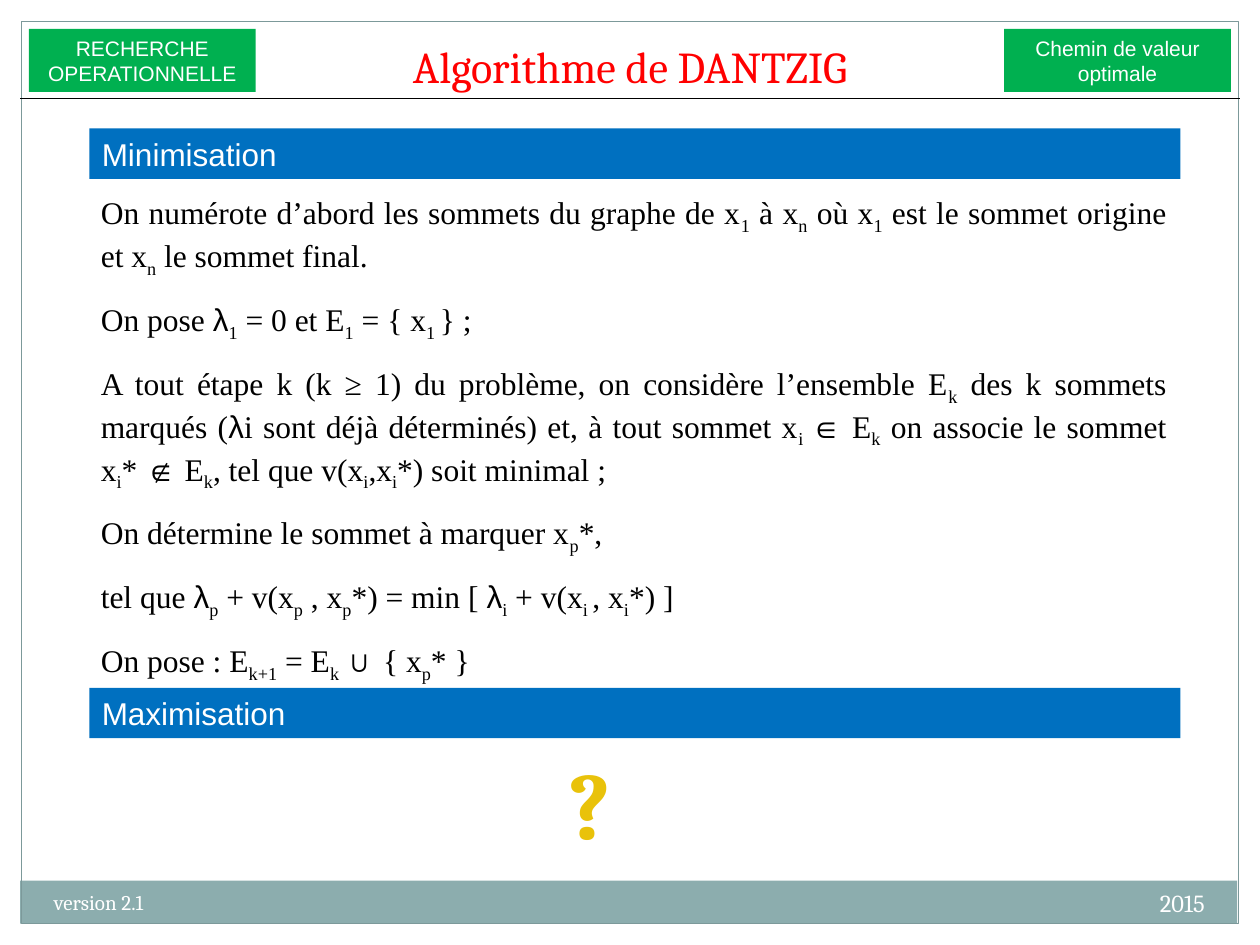
from dataclasses import dataclass
from itertools import groupby
from typing import Optional

from lxml import etree
from pptx import Presentation
from pptx import util as u
from pptx.dml.color import RGBColor
from pptx.enum import shapes, text
from pptx.oxml import ns, parse_xml

SERIF, SANS, BODY = "Cambria", "Arial", "Times New Roman"
WHITE, BLACK, GREEN, BLUE = "FFFFFF", "000000", "00B050", "0070C0"
LEFT, CENTER, RIGHT = text.PP_ALIGN.LEFT, text.PP_ALIGN.CENTER, text.PP_ALIGN.RIGHT


@dataclass
class Box:
    left: float
    top: float
    width: float
    height: float
    fill: Optional[str] = None
    line: Optional[str] = None
    lines: tuple = ()
    size: float = 12
    font: str = SANS
    align: text.PP_ALIGN = CENTER


FRAME = [
    Box(0, 0, 10, 0.17, WHITE),
    Box(9.83, 0, 0.17, 7.5, WHITE),
    Box(0, 0, 0.17, 7.5, WHITE),
    Box(0.16, 6.99, 9.66, 0.34, "8CADAE"),
    Box(0.17, 0.17, 9.66, 7.16, line="7C999A"),
]
LABELS = [
    Box(7.97, 0.23, 1.8, 0.5, GREEN, lines=("Chemin de valeur", "optimale")),
    Box(0.23, 0.23, 1.8, 0.5, GREEN, lines=("RECHERCHE", "OPERATIONNELLE")),
    Box(0.71, 1.02, 8.66, 0.4, BLUE, lines=("Minimisation",), size=18, align=LEFT),
    Box(0.71, 5.46, 8.66, 0.4, BLUE, lines=("Maximisation",), size=18, align=LEFT),
]
FOOTERS = [
    Box(6.33, 7, 3.33, 0.4, lines=("2015",), size=14, font=SERIF, align=RIGHT),
    Box(0.33, 7.01, 3.92, 0.4, lines=("version 2.1",), font=SERIF, align=LEFT),
]
# Subscripts stand between bars
STEPS = [
    "On numérote d’abord les sommets du graphe de x|1| à x|n| où x|1| est le sommet "
    "origine et x|n| le sommet final.",
    "On pose λ|1| = 0 et E|1| = { x|1 |} ;",
    "A tout étape k (k ≥ 1) du problème, on considère l’ensemble E|k| des k sommets "
    "marqués (λi sont déjà déterminés) et, à tout sommet x|i |∈ E|k| on associe le "
    "sommet x|i|* ∉ E|k|, tel que v(x|i|,x|i|*) soit minimal ;",
    "On détermine le sommet à marquer x|p|*, ",
    "tel que λ|p| + v(x|p| , x|p|*) = min [ λ|i| + v(x|i |, x|i|*) ]",
    "On pose : E|k+1| = E|k |∪ { x|p|* }",
]


def color(value: str) -> RGBColor:
    return RGBColor.from_string(value)


def place(shape, left: float, top: float, width: float, height: float) -> None:
    shape.left, shape.top = u.Inches(left), u.Inches(top)
    shape.width, shape.height = u.Inches(width), u.Inches(height)


def add_run(paragraph, content: str, size: float, font: str, hue: str):
    run = paragraph.add_run()
    run.text = content
    run.font.size = u.Pt(size)
    run.font.name = font
    run.font.color.rgb = color(hue)
    return run


def write_lines(frame, box: Box) -> None:
    frame.word_wrap = True
    for index, content in enumerate(box.lines):
        paragraph = frame.add_paragraph() if index else frame.paragraphs[0]
        paragraph.alignment = box.align
        add_run(paragraph, content, box.size, box.font, WHITE)


def draw_rectangle(slide, box: Box) -> None:
    shape = slide.shapes.add_shape(
        shapes.MSO_SHAPE.RECTANGLE,
        *map(u.Inches, (box.left, box.top, box.width, box.height)))
    shape.shadow.inherit = False
    if box.fill:
        shape.fill.solid()
        shape.fill.fore_color.rgb = color(box.fill)
    else:
        shape.fill.background()
    if box.line:
        shape.line.color.rgb = color(box.line)
        shape.line.width = u.Pt(0.75)
    else:
        shape.line.fill.background()
    write_lines(shape.text_frame, box)


def draw_text(slide, box: Box) -> None:
    shape = slide.shapes.add_textbox(
        *map(u.Inches, (box.left, box.top, box.width, box.height)))
    write_lines(shape.text_frame, box)


def write_step(paragraph, content: str) -> None:
    properties = paragraph._p.get_or_add_pPr()
    properties.set("marL", "0")
    properties.set("indent", "0")
    etree.SubElement(properties, ns.qn("a:buNone"))
    paragraph.alignment = text.PP_ALIGN.JUSTIFY
    paragraph.space_before = u.Pt(0)
    paragraph.space_after = u.Pt(12)
    for index, part in enumerate(content.split("|")):
        for is_lambda, letters in groupby(part, lambda letter: letter == "λ"):
            font = SANS if is_lambda else BODY
            run = add_run(paragraph, "".join(letters), 18, font, BLACK)
            if index % 2:
                run._r.get_or_add_rPr().set("baseline", "-25000")


def draw_question_mark(slide) -> None:
    shape = slide.shapes.add_textbox(*map(u.Inches, (4.37, 5.86, 0.62, 1.01)))
    shape.text_frame.word_wrap = False
    paragraph = shape.text_frame.paragraphs[0]
    paragraph.alignment = CENTER
    run = add_run(paragraph, "?", 54, SERIF, "E9C20A")
    run.font.bold = True
    # Vertical gold gradient in place of the solid colour
    stops = "".join(
        f'<a:gs pos="{position * 1000}"><a:srgbClr val="{hue}"/></a:gs>'
        for position, hue in ((0, "FFE275"), (75, "E9C20A"), (100, "978500")))
    gradient = parse_xml(
        f'<a:gradFill {ns.nsdecls("a")}><a:gsLst>{stops}</a:gsLst>'
        '<a:lin ang="5400000"/></a:gradFill>')
    properties = run._r.get_or_add_rPr()
    properties.replace(properties.find(ns.qn("a:solidFill")), gradient)


def draw_header_line(slide) -> None:
    line = slide.shapes.add_connector(
        shapes.MSO_CONNECTOR.STRAIGHT, *map(u.Inches, (0.16, 0.78, 9.84, 0.78)))
    line.line.color.rgb = color(BLACK)
    line.line.width = u.Pt(0.75)
    etree.SubElement(line._element.spPr, ns.qn("a:effectLst"))


def main() -> None:
    presentation = Presentation()
    presentation.slide_width, presentation.slide_height = u.Inches(10), u.Inches(7.5)
    slide = presentation.slides.add_slide(presentation.slide_layouts[1])
    slide.background.fill.solid()
    slide.background.fill.fore_color.rgb = color(WHITE)

    # Frame and footer
    for box in FRAME:
        draw_rectangle(slide, box)
    for box in FOOTERS:
        draw_text(slide, box)

    # Title
    title = slide.shapes.title
    place(title, 2.03, 0.25, 5.94, 0.53)
    title.text_frame.auto_size = text.MSO_AUTO_SIZE.NONE
    title.text_frame.vertical_anchor = text.MSO_ANCHOR.BOTTOM
    heading = title.text_frame.paragraphs[0]
    heading.alignment = CENTER
    add_run(heading, "Algorithme de DANTZIG", 25.2, SERIF, "FF0000")

    # Labels and section bars
    for box in LABELS:
        draw_rectangle(slide, box)

    # Steps of the algorithm
    body = slide.placeholders[1]
    place(body, 0.7, 1.48, 8.66, 3.67)
    frame = body.text_frame
    frame.auto_size = text.MSO_AUTO_SIZE.SHAPE_TO_FIT_TEXT
    frame.vertical_anchor = text.MSO_ANCHOR.TOP
    for index, content in enumerate(STEPS):
        write_step(frame.add_paragraph() if index else frame.paragraphs[0], content)

    draw_question_mark(slide)
    draw_header_line(slide)
    presentation.save("out.pptx")


if __name__ == "__main__":
    main()
